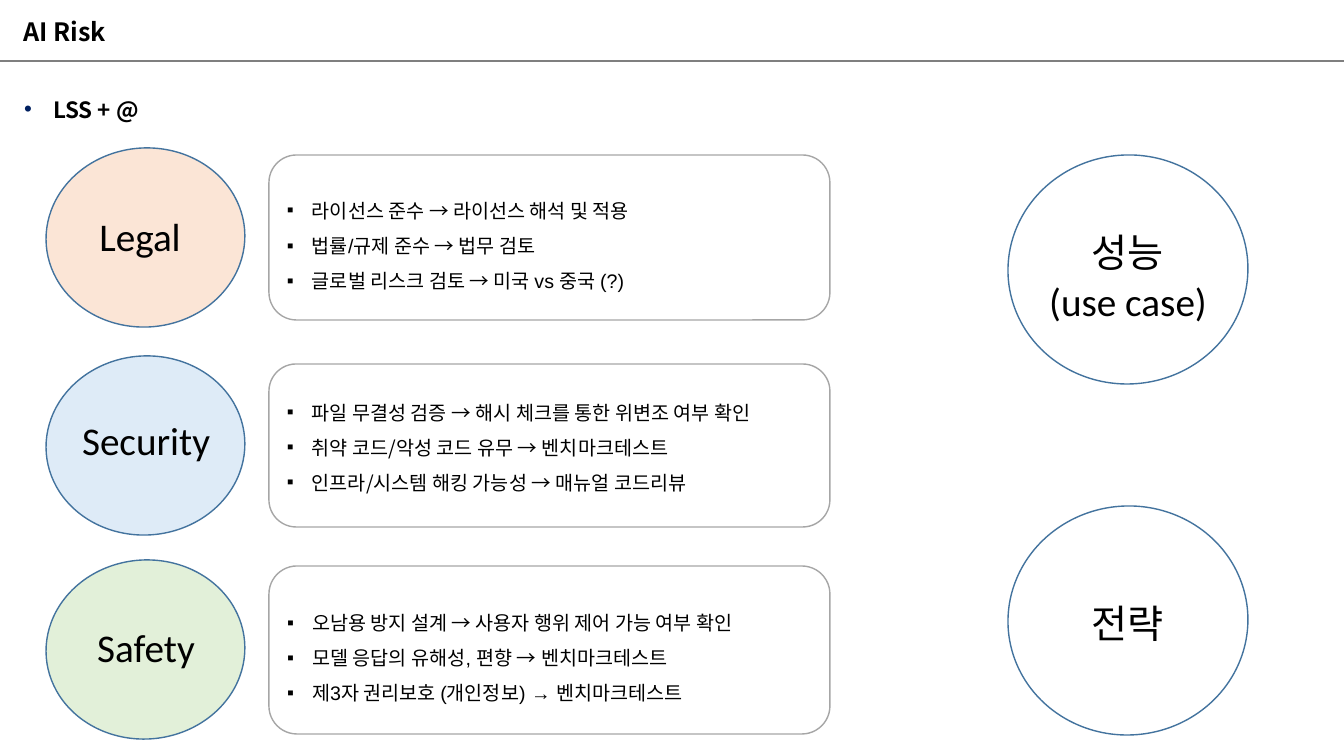
import pptx
import pptx.dml.color
import pptx.enum.shapes
import pptx.enum.text
import pptx.oxml.ns
import pptx.util
from lxml import etree

EMU_PER_PX = 914400 / 100.8
COLOURS = {
    "text": "000000", "bullet": "002060", "rule": "7F7F7F", "frame": "A6A6A6",
    "outline": "43739E", "legal": "FBE5D6", "security": "DEEBF7",
    "safety": "E2F0D9", "plain": "FFFFFF",
}
NOTO = "Noto Sans CJK KR"
RISKS = [
    ("legal", "Legal", 148, (63, 205), (155, 165), "Arial", (9, 5),
     ["라이선스 준수 → 라이선스 해석 및 적용", "법률/규제 준수 → 법무 검토",
      "글로벌 리스크 검토 → 미국 vs 중국 (?)"]),
    ("security", "Security", 356, (69, 409), (364, 163), NOTO, (5, 13),
     ["파일 무결성 검증 → 해시 체크를 통한 위변조 여부 확인",
      "취약 코드/악성 코드 유무 → 벤치마크테스트",
      "인프라/시스템 해킹 가능성 → 매뉴얼 코드리뷰"]),
    ("safety", "Safety", 560, (69, 616), (566, 168), "Arial", (9, 5),
     ["오남용 방지 설계 → 사용자 행위 제어 가능 여부 확인",
      "모델 응답의 유해성, 편향 → 벤치마크테스트",
      "제3자 권리보호 (개인정보) → 벤치마크테스트"]),
]
GOALS = [(155, 221, ["성능", "(use case)"]), (506, 592, ["전략"])]


def px(value):
    """Turn pixels into EMU."""
    return pptx.util.Emu(round(value * EMU_PER_PX))


def colour(name):
    """Look up a named colour."""
    return pptx.dml.color.RGBColor.from_string(COLOURS[name])


class SlideBuilder:
    """Holds the style and the current slide."""

    def __init__(self, slide):
        """Keep the slide to draw on."""
        self.slide = slide
        self.shapes = slide.shapes

    def place(self, shape, left, top, width, height):
        """Move and size a shape."""
        shape.left, shape.top = px(left), px(top)
        shape.width, shape.height = px(width), px(height)

    def set_text(self, shape, lines, size, font, spacing, margins, anchor="TOP",
                 align="LEFT", bold=False, bullet=None, indent=0, bullet_colour="text"):
        """Fill a shape with formatted paragraphs."""
        frame = shape.text_frame
        frame.word_wrap = True
        frame.auto_size = pptx.enum.text.MSO_AUTO_SIZE.NONE
        frame.vertical_anchor = getattr(pptx.enum.text.MSO_ANCHOR, anchor)
        (frame.margin_left, frame.margin_top,
         frame.margin_right, frame.margin_bottom) = map(px, margins)
        frame.text = "\n".join(lines)
        for paragraph in frame.paragraphs:
            if bullet:
                self.add_bullet(paragraph, bullet, indent, bullet_colour)
            paragraph.alignment = getattr(pptx.enum.text.PP_ALIGN, align)
            paragraph.line_spacing = spacing
            paragraph.space_before = pptx.util.Pt(0)
            paragraph.font.size = pptx.util.Pt(size)
            paragraph.font.bold = bold
            paragraph.font.color.rgb = colour("text")
            paragraph.font.name = font
            defaults = paragraph._p.pPr.find(pptx.oxml.ns.qn("a:defRPr"))
            etree.SubElement(defaults, pptx.oxml.ns.qn("a:ea"), typeface=NOTO)

    def add_bullet(self, paragraph, character, indent, bullet_colour):
        """Give a paragraph a hanging bullet."""
        properties = paragraph._p.get_or_add_pPr()
        properties.set("marL", str(px(indent)))
        properties.set("indent", str(-px(indent)))
        fill = etree.SubElement(properties, pptx.oxml.ns.qn("a:buClr"))
        etree.SubElement(fill, pptx.oxml.ns.qn("a:srgbClr"), val=COLOURS[bullet_colour])
        etree.SubElement(properties, pptx.oxml.ns.qn("a:buFont"), typeface="Arial")
        etree.SubElement(properties, pptx.oxml.ns.qn("a:buChar"), char=character)

    def title(self, text):
        """Set the slide title."""
        shape = self.shapes.title
        self.place(shape, 15, 11, 1296, 44)
        self.set_text(shape, [text], 18, NOTO, 0.9, (8, 4, 8, 4), "MIDDLE", bold=True)

    def body(self, text):
        """Set the heading bullet."""
        shape = self.slide.placeholders[1]
        self.place(shape, 15, 79, 1285, 58)
        self.set_text(shape, [text], 16, NOTO, 1.4, (9, 6, 9, 4), bold=True,
                      bullet="•", indent=29, bullet_colour="bullet")

    def rule(self, top):
        """Draw a line across the slide."""
        line = self.shapes.add_connector(
            pptx.enum.shapes.MSO_CONNECTOR.STRAIGHT, 0, px(top), px(1344), px(top))
        line.line.color.rgb = colour("rule")
        line.line.width = pptx.util.Pt(1.5)
        etree.SubElement(line._element.spPr, pptx.oxml.ns.qn("a:effectLst"))

    def outline(self, kind, box, line, fill=None):
        """Draw a preset shape with a thin outline."""
        preset = getattr(pptx.enum.shapes.MSO_SHAPE, kind)
        shape = self.shapes.add_shape(preset, *map(px, box))
        shape.shadow.inherit = False
        shape.line.color.rgb = colour(line)
        shape.line.width = pptx.util.Pt(1)
        if fill:
            shape.fill.solid()
            shape.fill.fore_color.rgb = colour(fill)
        else:
            shape.fill.background()
        return shape

    def circle(self, box, fill):
        """Draw a slightly turned ellipse."""
        self.outline("OVAL", box, "outline", fill).rotation = -4.5

    def label(self, lines, box):
        """Add large centred text."""
        shape = self.shapes.add_textbox(*map(px, box))
        self.set_text(shape, lines, 28, "Calibri", pptx.util.Pt(35), (0, 5, 0, 5),
                      align="CENTER")

    def panel(self, lines, top, height, font, margins):
        """Draw a rounded frame with a bullet list."""
        shape = self.outline("ROUNDED_RECTANGLE", (269, top, 561, height), "frame")
        self.set_text(shape, lines, 14, font, pptx.util.Pt(25),
                      (10, margins[0], 10, margins[1]), "MIDDLE", bullet="▪", indent=25)


def main():
    """Build and save the slide."""
    presentation = pptx.Presentation()
    presentation.slide_width, presentation.slide_height = px(1344), px(756)
    builder = SlideBuilder(presentation.slides.add_slide(presentation.slide_layouts[1]))
    builder.rule(61)
    builder.title("AI Risk")
    builder.body("LSS + @")
    for fill, name, top, (left, label_top), (panel_top, height), font, margins, lines in RISKS:
        builder.circle((46, top, 199, 179), fill)
        builder.label([name], (left, label_top, 154, 50))
        builder.panel(lines, panel_top, height, font, margins)
    for top, label_top, lines in GOALS:
        builder.circle((1008, top, 240, 229), "plain")
        builder.label(lines, (1039, label_top, 178, 10 + 49 * len(lines)))
    presentation.save("out.pptx")


if __name__ == "__main__":
    main()
